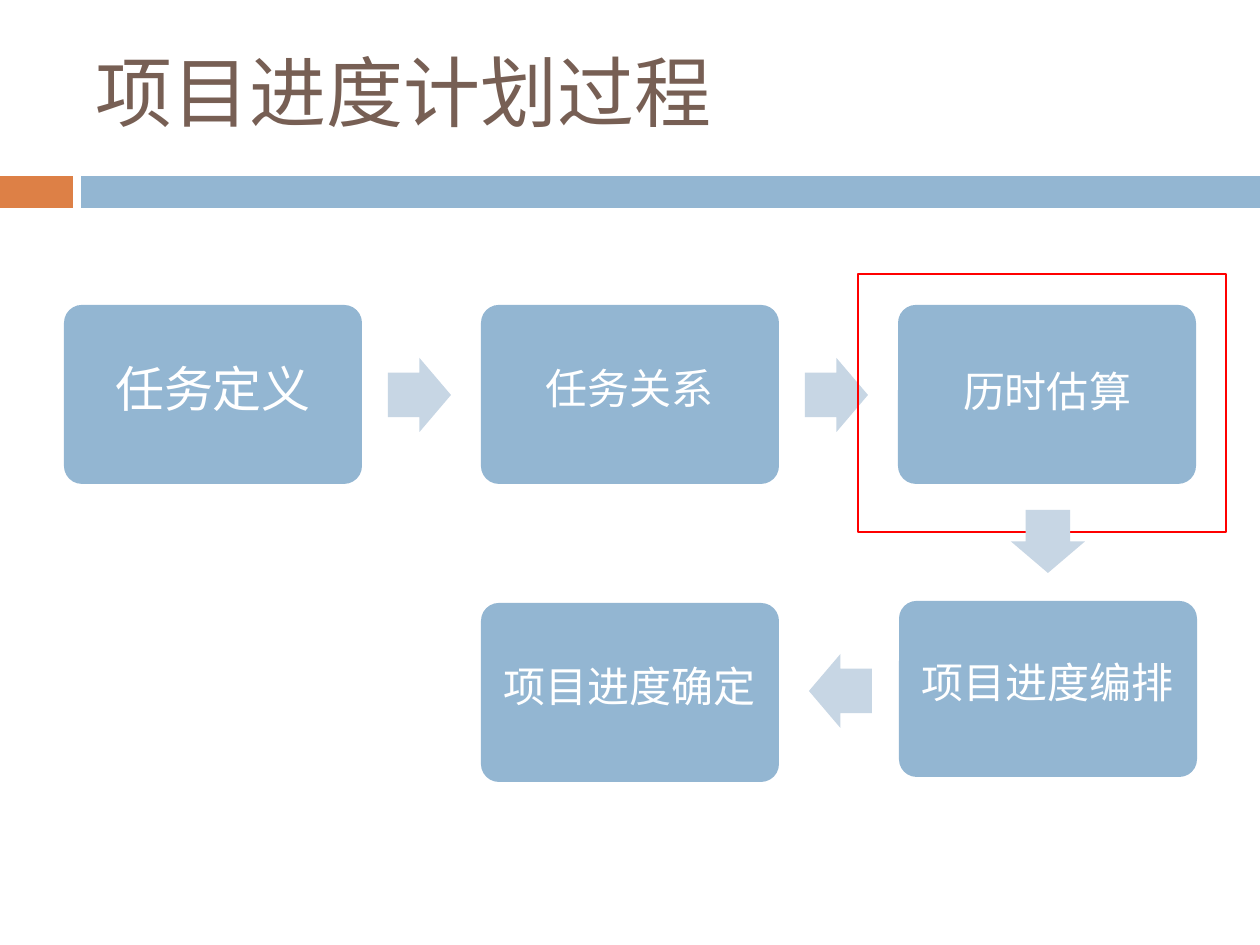
from dataclasses import dataclass
from typing import Any

from lxml.etree import SubElement
from pptx import Presentation
from pptx.dml.color import RGBColor
from pptx.enum.shapes import MSO_SHAPE
from pptx.enum.text import MSO_ANCHOR, MSO_AUTO_SIZE, PP_ALIGN
from pptx.oxml.ns import qn
from pptx.util import Emu, Pt

EMU_PER_PX = 914400 / 126
COLUMN_LEFT, COLUMN_PITCH = 64, 417
BOX_WIDTH, BOX_HEIGHT = 298, 179
ARROW_LENGTH, ARROW_BREADTH, ARROW_GAP = 63, 74, 26


@dataclass(frozen=True)
class Theme:
    font: str = "Noto Sans CJK SC"
    title_color: str = "775F54"
    accent: str = "DD8046"
    primary: str = "93B6D2"
    arrow: str = "C7D6E4"
    highlight: str = "FF0000"
    box_text: str = "FFFFFF"
    title_size: int = 44
    first_step_size: int = 28
    step_size: int = 24


@dataclass(frozen=True)
class Area:
    left: int
    top: int
    width: int
    height: int

    def lengths(self) -> tuple[Emu, ...]:
        return tuple(px(value) for value in (self.left, self.top, self.width, self.height))


@dataclass(frozen=True)
class Step:
    text: str
    area: Area
    size: int = 24
    text_lift: int = 14


def px(value: int) -> Emu:
    return Emu(round(value * EMU_PER_PX))


def apply_format(target: Any, values: dict[str, Any]) -> None:
    for name, value in values.items():
        setattr(target, name, value)


def add_filled_shape(slide: Any, kind: MSO_SHAPE, area: Area, color: str,
                     adjustments: tuple[float, ...] = ()) -> Any:
    shape = slide.shapes.add_shape(kind, *area.lengths())
    shape.shadow.inherit = False
    shape.fill.solid()
    shape.fill.fore_color.rgb = RGBColor.from_string(color)
    shape.line.fill.background()
    for index, value in enumerate(adjustments):
        shape.adjustments[index] = value
    return shape


def write_text(shape: Any, text: str, size: int, color: str,
               alignment: PP_ALIGN, bottom: int = 0) -> None:
    frame = shape.text_frame
    apply_format(frame, {
        "margin_left": 0, "margin_top": 0, "margin_right": 0,
        "margin_bottom": px(bottom), "word_wrap": True,
        "vertical_anchor": MSO_ANCHOR.MIDDLE, "auto_size": MSO_AUTO_SIZE.NONE,
    })
    paragraph = frame.paragraphs[0]
    paragraph.alignment = alignment
    run = paragraph.add_run()
    run.text = text
    apply_format(run.font, {"name": THEME.font, "size": Pt(size), "bold": False})
    run.font.color.rgb = RGBColor.from_string(color)
    SubElement(run.font._element, qn("a:ea"), typeface=THEME.font)


def add_title(slide: Any, text: str, area: Area) -> None:
    title = slide.shapes.title
    apply_format(title, dict(zip(("left", "top", "width", "height"), area.lengths())))
    write_text(title, text, THEME.title_size, THEME.title_color, PP_ALIGN.LEFT)


def add_step(slide: Any, step: Step) -> None:
    box = add_filled_shape(slide, MSO_SHAPE.ROUNDED_RECTANGLE, step.area,
                           THEME.primary, (0.1,))
    write_text(box, step.text, step.size, THEME.box_text, PP_ALIGN.CENTER, step.text_lift)


def add_arrow(slide: Any, kind: MSO_SHAPE, area: Area) -> None:
    add_filled_shape(slide, kind, area, THEME.arrow, (0.6, 0.5))


def add_highlight(slide: Any, area: Area) -> None:
    frame = add_filled_shape(slide, MSO_SHAPE.RECTANGLE, area, THEME.primary)
    frame.fill.background()
    frame.line.color.rgb = RGBColor.from_string(THEME.highlight)
    frame.line.width = Pt(1.56)


def column(index: int) -> int:
    return COLUMN_LEFT + index * COLUMN_PITCH


THEME = Theme()
BANDS = (
    (Area(0, 176, 73, 32), THEME.accent),
    (Area(81, 176, 1179, 32), THEME.primary),
)
TOP_ROW = 305
STEPS = (
    Step("任务定义", Area(column(0), TOP_ROW, BOX_WIDTH, BOX_HEIGHT), THEME.first_step_size),
    Step("任务关系", Area(column(1), TOP_ROW, BOX_WIDTH, BOX_HEIGHT), THEME.step_size),
    Step("历时估算", Area(column(2), TOP_ROW, BOX_WIDTH, BOX_HEIGHT), THEME.step_size, 7),
    Step("项目进度编排", Area(899, 601, BOX_WIDTH, 176), THEME.step_size),
    Step("项目进度确定", Area(column(1), 603, BOX_WIDTH, BOX_HEIGHT), THEME.step_size),
)
RIGHT_ARROWS = tuple(
    Area(column(index) + BOX_WIDTH + ARROW_GAP, 358, ARROW_LENGTH, ARROW_BREADTH)
    for index in range(2)
)
DOWN_ARROW = Area(1011, TOP_ROW + BOX_HEIGHT + ARROW_GAP, ARROW_BREADTH, ARROW_LENGTH)
LEFT_ARROW = Area(809, 654, ARROW_LENGTH, ARROW_BREADTH)


def main() -> None:
    presentation = Presentation()
    apply_format(presentation, {"slide_width": px(1260), "slide_height": px(945)})
    slide = presentation.slides.add_slide(presentation.slide_layouts[5])

    for area, color in BANDS:
        add_filled_shape(slide, MSO_SHAPE.RECTANGLE, area, color)
    add_title(slide, "项目进度计划过程", Area(96, 43, 1068, 96))
    for step in STEPS:
        add_step(slide, step)
    for area in RIGHT_ARROWS:
        add_arrow(slide, MSO_SHAPE.RIGHT_ARROW, area)
    add_highlight(slide, Area(858, 274, 368, 258))
    add_arrow(slide, MSO_SHAPE.DOWN_ARROW, DOWN_ARROW)
    add_arrow(slide, MSO_SHAPE.LEFT_ARROW, LEFT_ARROW)

    presentation.save("out.pptx")


if __name__ == "__main__":
    main()
